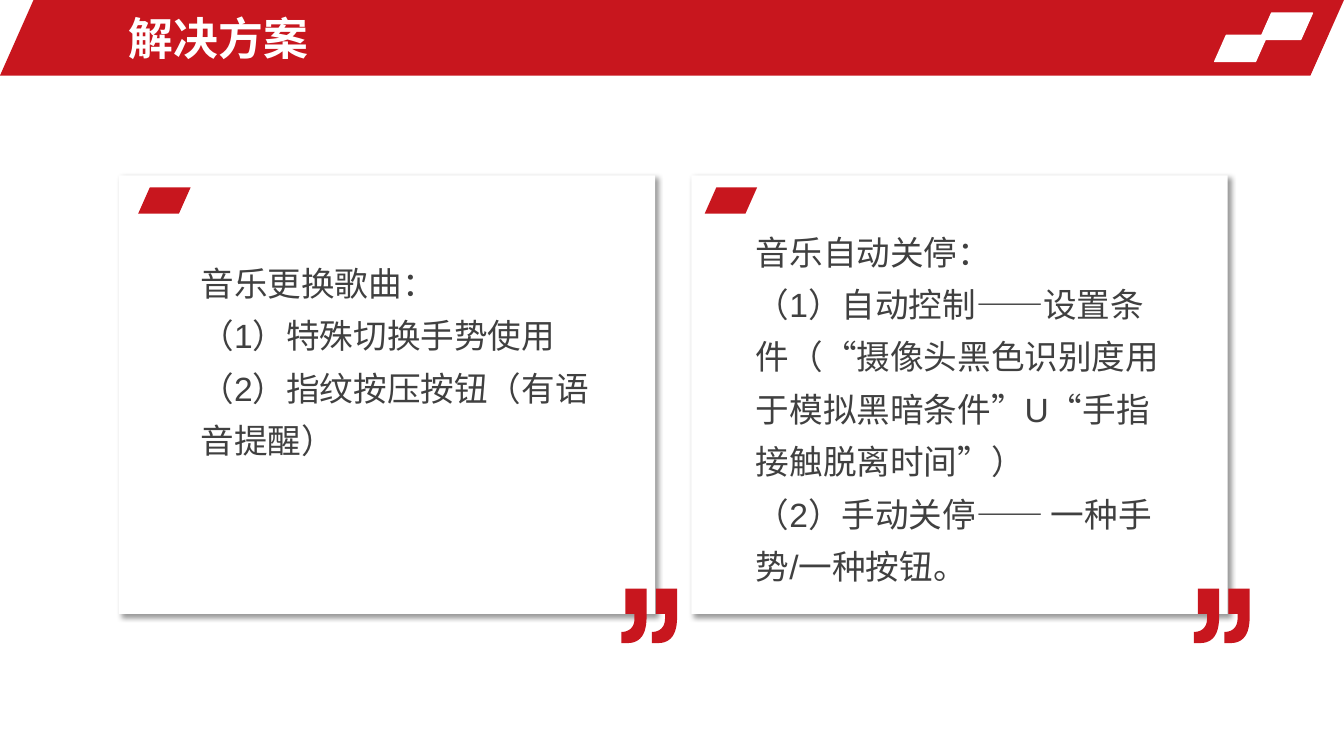
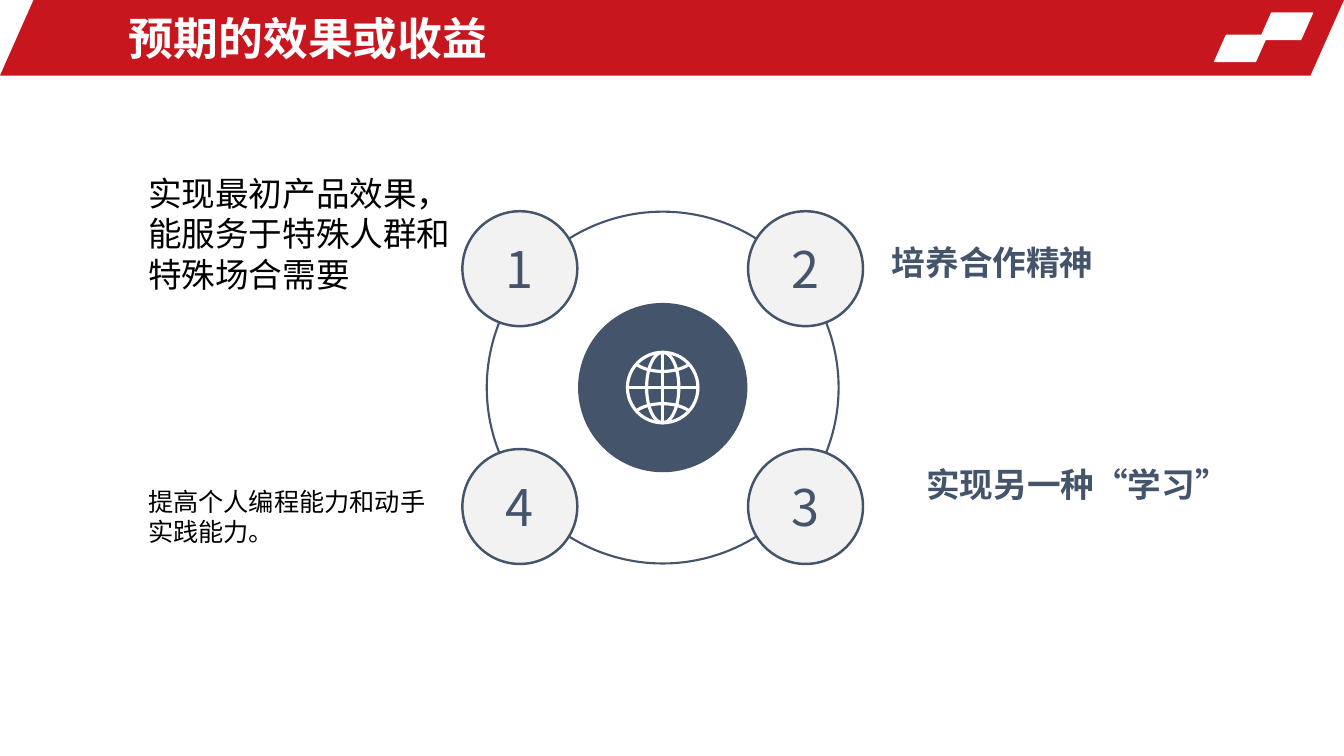
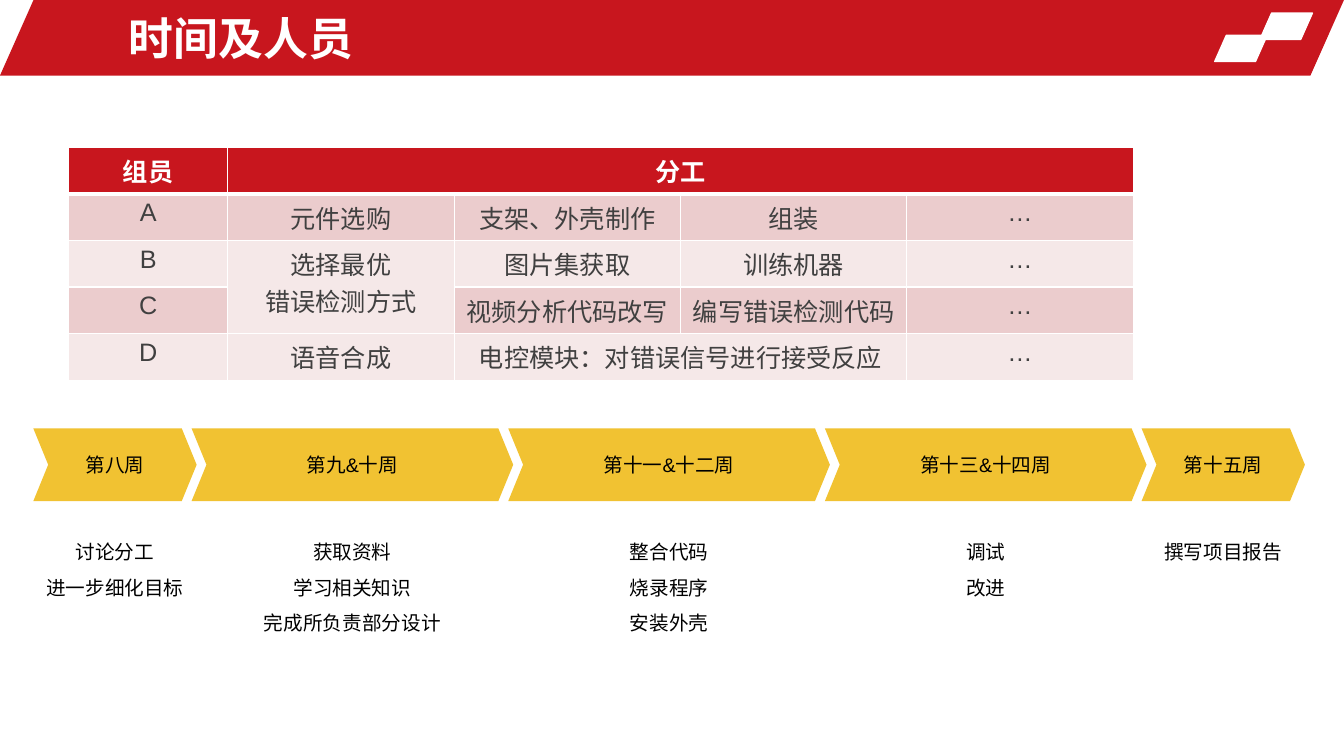
from lxml import etree
from pptx import Presentation
from pptx.dml.color import RGBColor
from pptx.enum.shapes import MSO_CONNECTOR, MSO_SHAPE
from pptx.enum.text import MSO_ANCHOR, PP_ALIGN
from pptx.oxml.ns import qn
from pptx.util import Emu, Inches, Pt

SLANT, OVAL = MSO_SHAPE.PARALLELOGRAM, MSO_SHAPE.OVAL
RECT, CHEVRON = MSO_SHAPE.RECTANGLE, MSO_SHAPE.CHEVRON
STRAIGHT = MSO_CONNECTOR.STRAIGHT
LEFT, CENTER = PP_ALIGN.LEFT, PP_ALIGN.CENTER
TOP, MIDDLE = MSO_ANCHOR.TOP, MSO_ANCHOR.MIDDLE

RED, WHITE, BLACK, GREY = "C8161E", "FFFFFF", "000000", "404040"
NAVY, PALE, YELLOW = "44546A", "F2F2F2", "F1C232"
ROSE, BLUSH = "EBCCCD", "F5E8E8"
LATIN, CJK = "Arial", "Noto Sans CJK SC"
SLANT_ADJ = 0.444
TILE = (3.9, 3.47)


def rgb(color):
    return RGBColor.from_string(color)


def bezier(p0, p1, p2, p3, steps=12):
    """Points along a cubic curve, without its start."""
    points = []
    for i in range(1, steps + 1):
        t = i / steps
        weights = ((1 - t) ** 3, 3 * t * (1 - t) ** 2, 3 * t * t * (1 - t), t ** 3)
        points.append(tuple(sum(w * p[axis] for w, p in zip(weights, (p0, p1, p2, p3)))
                            for axis in (0, 1)))
    return points


class Deck:
    """Holds the style and the current slide; lengths are percent of the slide."""

    def __init__(self):
        self.prs = Presentation()
        self.prs.slide_width, self.prs.slide_height = Inches(13.333), Inches(7.5)
        self.shapes = None

    def x(self, share):
        return Emu(round(self.prs.slide_width * share / 100))

    def y(self, share):
        return Emu(round(self.prs.slide_height * share / 100))

    def box(self, left, top, width, height):
        return self.x(left), self.y(top), self.x(width), self.y(height)

    def slide(self, title):
        self.shapes = self.prs.slides.add_slide(self.prs.slide_layouts[6]).shapes
        self.shape(SLANT, 0, 0, 100, 10, RED, adj=SLANT_ADJ)
        for left, top in ((93.75, 1.73), (90.38, 4.67)):
            self.shape(SLANT, left, top, *TILE, WHITE, (WHITE, 1), SLANT_ADJ)
        self.text(title, 8.85, 0.67, 58, 8.67, 32, WHITE, bold=True, anchor=MIDDLE)

    def paint(self, sp, fill=None, line=None):
        sp.shadow.inherit = False
        if fill:
            sp.fill.solid()
            sp.fill.fore_color.rgb = rgb(fill)
        else:
            sp.fill.background()
        if line:
            sp.line.color.rgb, sp.line.width = rgb(line[0]), Pt(line[1])
        else:
            sp.line.fill.background()

    def shape(self, kind, left, top, width, height, fill=None, line=None, adj=None):
        sp = self.shapes.add_shape(kind, *self.box(left, top, width, height))
        if adj is not None:
            sp.adjustments[0] = adj
        self.paint(sp, fill, line)
        return sp

    def circle(self, cx, cy, diameter, fill=None, line=None):
        height = diameter * self.prs.slide_width / self.prs.slide_height
        return self.shape(OVAL, cx - diameter / 2, cy - height / 2,
                          diameter, height, fill, line)

    def freeform(self, points, fill=None, line=None):
        places = [(self.x(px), self.y(py)) for px, py in points]
        builder = self.shapes.build_freeform(*places[0])
        builder.add_line_segments(places[1:], close=fill is not None)
        self.paint(builder.convert_to_shape(), fill, line)

    def line(self, x1, y1, x2, y2, color, width):
        cn = self.shapes.add_connector(STRAIGHT, self.x(x1), self.y(y1), self.x(x2), self.y(y2))
        cn.line.color.rgb, cn.line.width = rgb(color), Pt(width)
        etree.SubElement(cn._element.spPr, qn("a:effectLst"))

    def fill_text(self, tf, text, size, color, bold=False, align=LEFT, pitch=None, font=LATIN):
        tf.text = text
        for p in tf.paragraphs:
            p.alignment = align
            if pitch:
                p.line_spacing = Pt(round(size * pitch, 1))
            for r in p.runs:
                r.font.name, r.font.size, r.font.bold = font, Pt(size), bold
                r.font.color.rgb = rgb(color)
                rPr = r._r.get_or_add_rPr()
                rPr.set("lang", "zh-CN")
                etree.SubElement(rPr, qn("a:ea")).set("typeface", CJK)

    def text(self, text, left, top, width, height, size, color,
             wrap=True, anchor=TOP, **style):
        tf = self.shapes.add_textbox(*self.box(left, top, width, height)).text_frame
        tf.word_wrap, tf.vertical_anchor = wrap, anchor
        self.fill_text(tf, text, size, color, **style)

    def label(self, sp, text, size, color, **style):
        sp.text_frame.vertical_anchor = MIDDLE
        self.fill_text(sp.text_frame, text, size, color, align=CENTER, **style)

    def card(self, left, top, width, height):
        sp = self.shape(RECT, left, top, width, height, WHITE)
        effects = sp._element.spPr.find(qn("a:effectLst"))
        shadow = etree.SubElement(effects, qn("a:outerShdw"), blurRad=str(Pt(4)),
                                  dist=str(Pt(3)), dir="2700000", algn="tl", rotWithShape="0")
        color = etree.SubElement(shadow, qn("a:srgbClr"), val=BLACK)
        etree.SubElement(color, qn("a:alpha"), val="40000")

    def quote_mark(self, left, top):
        comma = [(1.88, 0), (1.88, 3.73),
                 *bezier((1.88, 3.73), (1.88, 6), (1.43, 7.2), (0.45, 7.2)),
                 (0, 7.2), (0, 5.73),
                 *bezier((0, 5.73), (0.6, 5.73), (0.98, 5.07), (0.98, 4)),
                 (0.98, 3.33), (0.3, 3.33), (0.3, 0)]
        for shift in (0, 2.27):
            self.freeform([(left + shift + px, top + py) for px, py in comma], RED)

    def globe(self, cx, cy):
        pen = (WHITE, 2.25)
        self.circle(cx, cy, 5.25, line=pen)
        self.shape(OVAL, cx - 1.2, cy - 4.67, 2.4, 9.33, line=pen)
        self.line(cx, cy - 4.67, cx, cy + 4.67, *pen)
        self.line(cx - 2.63, cy, cx + 2.63, cy, *pen)
        for side in (-1, 1):
            ends, bend = cy + side * 3, cy + side * 1.84
            start = (cx - 1.91, ends)
            self.freeform([start, *bezier(start, (cx - 0.9, bend), (cx + 0.9, bend),
                                          (cx + 1.91, ends))], line=pen)

    def borders(self, cell, top=1, bottom=1):
        tcPr = cell._tc.get_or_add_tcPr()
        for side, width in (("L", 1), ("R", 1), ("T", top), ("B", bottom)):
            ln = etree.SubElement(tcPr, qn("a:ln" + side), w=str(Pt(width)))
            fill = etree.SubElement(ln, qn("a:solidFill"))
            etree.SubElement(fill, qn("a:srgbClr"), val=WHITE)

    def table(self, rows, left, top, widths, row_height, merges):
        frame = self.shapes.add_table(len(rows), len(widths), *self.box(
            left, top, sum(widths), row_height * len(rows)))
        tbl = frame.table
        for column, width in zip(tbl.columns, widths):
            column.width = self.x(width)
        for i, row in enumerate(rows):
            tbl.rows[i].height = self.y(row_height)
            head = i == 0
            for j, text in enumerate(row):
                cell = tbl.cell(i, j)
                self.borders(cell, 3 if i == 1 else 1, 3 if head else 1)
                cell.fill.solid()
                cell.fill.fore_color.rgb = rgb(RED if head else ROSE if i % 2 else BLUSH)
                if text:
                    self.fill_text(cell.text_frame, text, 18, WHITE if head else GREY,
                                   bold=head, align=CENTER)
        for first, last in merges:
            tbl.cell(*first).merge(tbl.cell(*last))


def solution(deck):
    deck.slide("解决方案")
    cards = (
        (8.85, 1.43, 5.33, 32.53, 28.67,
         "音乐更换歌曲：\n（1）特殊切换手势使用\n（2）指纹按压按钮（有语音提醒）"),
        (51.45, 0.98, 4.05, 28.4, 49.6,
         "音乐自动关停：\n（1）自动控制——设置条件（“摄像头黑色识别度用于模拟黑暗条件”U“手指接触脱离时间”）\n"
         "（2）手动关停—— 一种手势/一种按钮。"),
    )
    for left, tile_dx, text_dx, text_top, text_height, text in cards:
        deck.card(left, 23.2, 39.9, 58)
        deck.shape(SLANT, left + tile_dx, 24.8, *TILE, RED, adj=SLANT_ADJ)
        deck.text(text, left + text_dx, text_top, 31.95, text_height, 24, GREY, pitch=1.56)
        deck.quote_mark(left + 37.38, 77.87)


def benefits(deck):
    deck.slide("预期的效果或收益")
    cx, cy = 49.31, 51.27

    # Ring with numbered nodes, clockwise from top left
    deck.circle(cx, cy, 12.6, NAVY)
    deck.circle(cx, cy, 26.18, line=(NAVY, 1.5))
    for number, (dx, dy) in enumerate(((-1, -1), (1, -1), (1, 1), (-1, 1)), 1):
        node = deck.circle(cx + dx * 10.63, cy + dy * 15.73, 8.55, PALE, (NAVY, 1.75))
        deck.label(node, str(number), 36, NAVY, font=CJK)
    deck.globe(cx, cy)

    # Captions
    captions = (
        ("实现最初产品效果，\n能服务于特殊人群和\n特殊场合需要", 10.28, 22.13, 24.2, 17.47, 24, BLACK, False),
        ("培养合作精神", 65.63, 31.33, 16.65, 6.67, 24, NAVY, True),
        ("实现另一种“学习”", 68.18, 60.67, 24.2, 6.67, 24, NAVY, True),
        ("提高个人编程能力和动手\n实践能力。", 10.28, 63.6, 22.35, 9.47, 18, BLACK, False),
    )
    for *place, bold in captions:
        deck.text(*place, wrap=False, bold=bold, pitch=1.21)


def schedule(deck):
    deck.slide("时间及人员")

    # Who does what
    rows = (
        ("组员", "分工", "", "", ""),
        ("A", "元件选购", "支架、外壳制作", "组装", "…"),
        ("B", "选择最优\n错误检测方式", "图片集获取", "训练机器", "…"),
        ("C", "", "视频分析代码改写", "编写错误检测代码", "…"),
        ("D", "语音合成", "电控模块：对错误信号进行接受反应", "", "…"),
    )
    merges = (((0, 1), (0, 4)), ((2, 1), (3, 1)), ((4, 2), (4, 3)))
    deck.table(rows, 5.1, 19.47, [11.85] + [16.84] * 4, 6.17, merges)

    # Timeline: each chevron is as long as its number of weeks
    stages = (
        (1, "第八周", "讨论分工\n进一步细化目标"),
        (2, "第九&十周", "获取资料\n学习相关知识\n完成所负责部分设计"),
        (2, "第十一&十二周", "整合代码\n烧录程序\n安装外壳"),
        (2, "第十三&十四周", "调试\n改进"),
        (1, "第十五周", "撰写项目报告"),
    )
    left, week, overlap, note_width = 2.48, 11.78, 0.37, 16.5
    for weeks, name, tasks in stages:
        width = weeks * week + overlap
        chevron = deck.shape(CHEVRON, left, 56.67, width, 9.6, YELLOW, adj=0.205)
        deck.label(chevron, name, 14, BLACK)
        deck.text(tasks, left + (width - note_width) / 2, 69.2, note_width, 17,
                  14, BLACK, align=CENTER, pitch=1.81)
        left += weeks * week


def main():
    deck = Deck()
    solution(deck)
    benefits(deck)
    schedule(deck)
    deck.prs.save("out.pptx")


if __name__ == "__main__":
    main()
